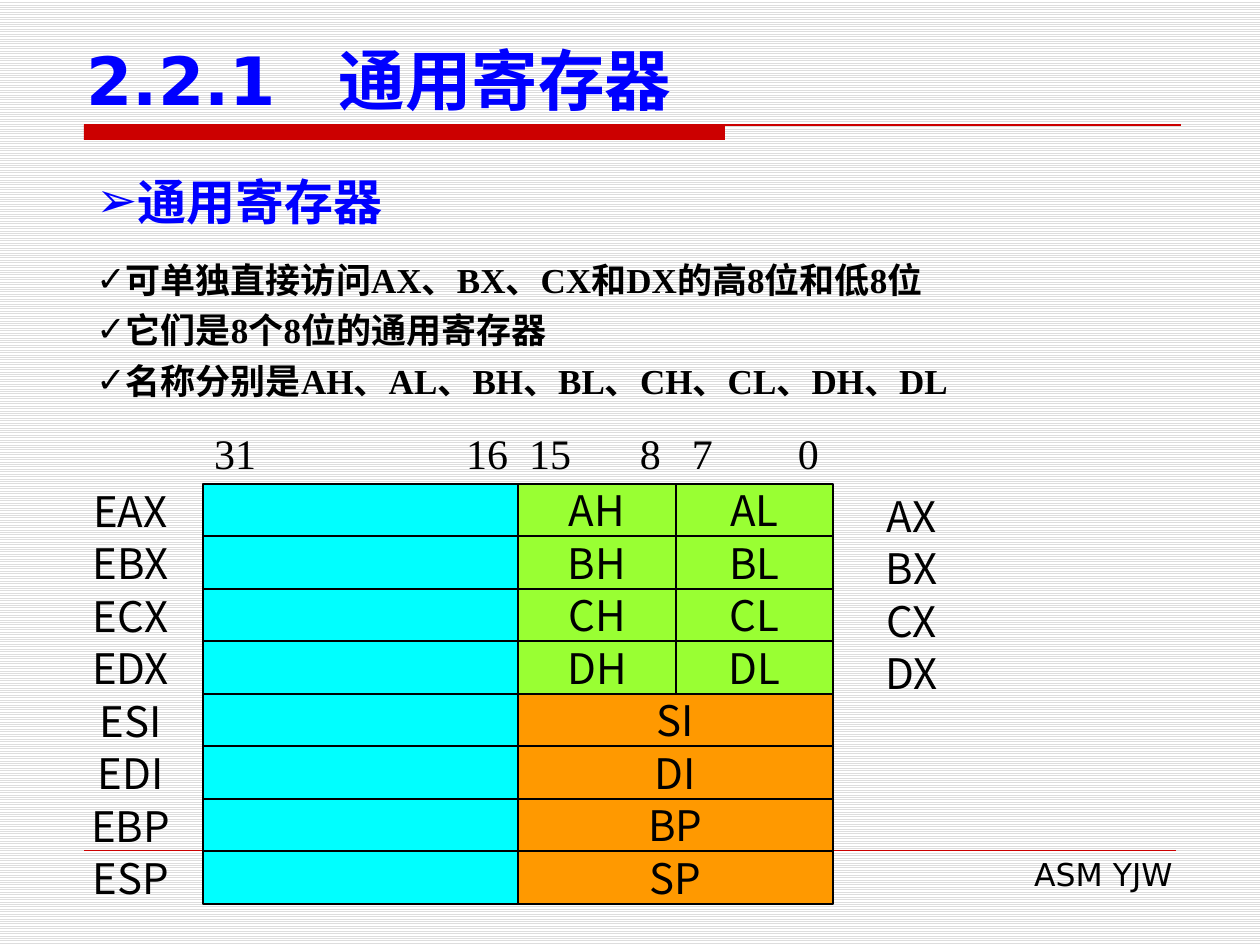
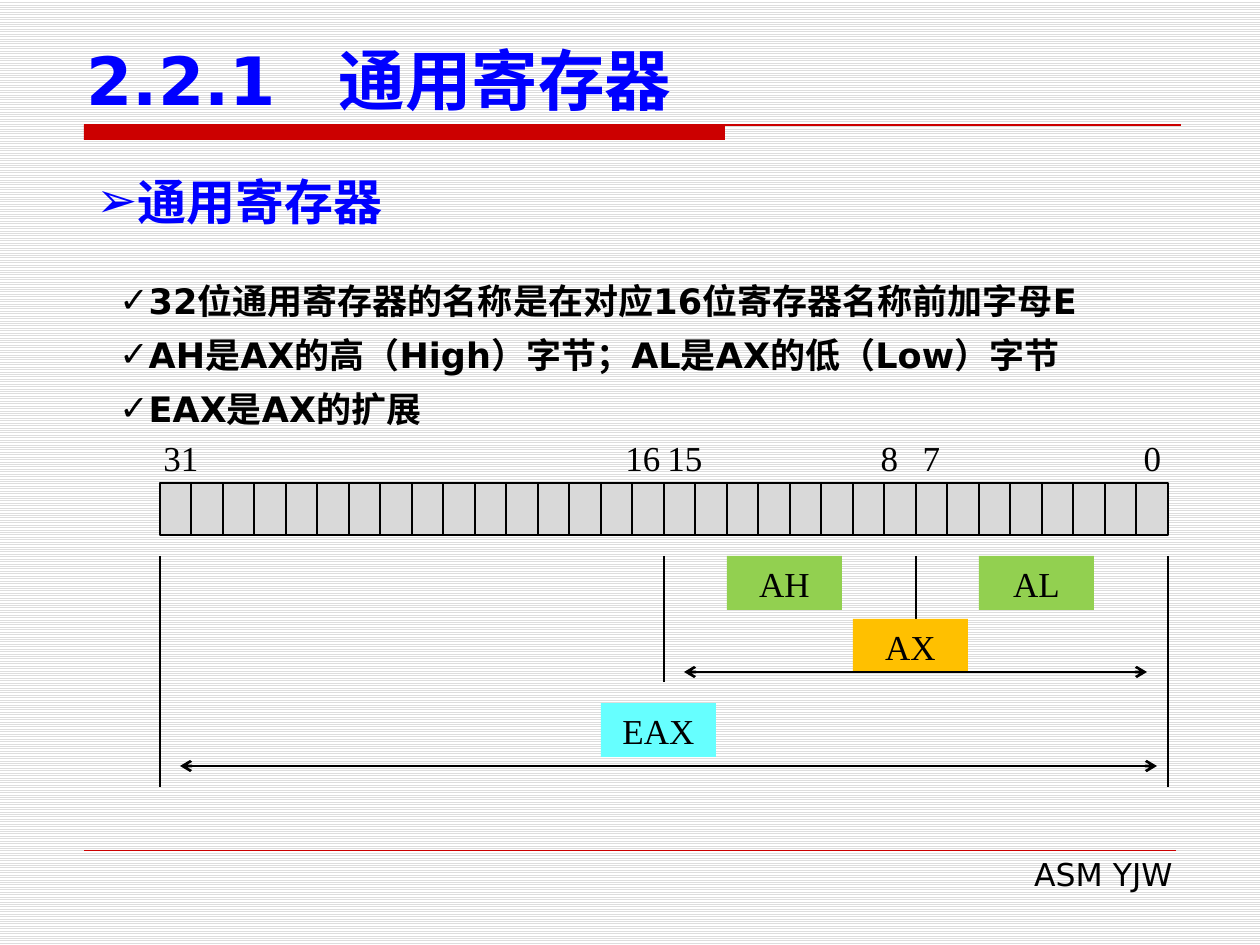
from dataclasses import dataclass

from lxml.etree import SubElement
from pptx import Presentation
from pptx.dml.color import RGBColor
from pptx.enum.dml import MSO_PATTERN
from pptx.enum.shapes import MSO_CONNECTOR, MSO_SHAPE
from pptx.enum.text import MSO_ANCHOR, MSO_AUTO_SIZE, PP_ALIGN
from pptx.oxml.ns import qn
from pptx.presentation import Presentation as Deck
from pptx.slide import Slide
from pptx.text.text import TextFrame, _Paragraph
from pptx.util import Emu, Pt


@dataclass(frozen=True)
class Theme:
    """Colours, fonts and type sizes of the whole presentation."""

    ink: str = "000000"
    blue: str = "0000FF"
    red: str = "CC0000"
    paper: str = "FFFFFF"
    stripe: str = "DDDDDD"
    cyan: str = "00FFFF"
    lime: str = "99FF33"
    orange: str = "FF9900"
    grey: str = "D9D9D9"
    green: str = "92D050"
    amber: str = "FFC000"
    aqua: str = "66FFFF"
    sans: str = "DejaVu Sans"
    serif: str = "Times New Roman"
    chinese: str = "Noto Sans CJK SC"
    title_size: int = 38
    heading_size: int = 28
    register_size: int = 24
    body_size: int = 20
    footer_size: int = 18


THEME = Theme()


@dataclass(frozen=True)
class Box:
    """A rectangle in px."""

    left: int
    top: int
    width: int
    height: int


@dataclass(frozen=True)
class Style:
    """The look of a run of text."""

    size: int
    font: str
    color: str = THEME.ink
    bold: bool = False


@dataclass(frozen=True)
class BitLabel:
    """A bit number and the px its text is centred on."""

    text: str
    center: int


@dataclass(frozen=True)
class Tag:
    """A coloured register name under the bit row."""

    text: str
    left: int
    top: int
    fill: str


@dataclass(frozen=True)
class Line:
    """A straight line between two points in px."""

    left: int
    top: int
    right: int
    bottom: int
    color: str = THEME.ink
    weight: float = 0.75
    arrows: bool = False


TITLE_STYLE = Style(THEME.title_size, THEME.sans, THEME.blue, True)
HEADING_STYLE = Style(THEME.heading_size, THEME.sans, THEME.blue, True)
FOOTER_STYLE = Style(THEME.footer_size, THEME.sans)
REGISTER_STYLE = Style(THEME.register_size, THEME.chinese)
WIDE_BIT_STYLE = Style(THEME.register_size, THEME.serif)
TAG_STYLE = Style(THEME.body_size, THEME.serif)

HALF_REGISTERS = ["AX", "BX", "CX", "DX"]
INDEX_REGISTERS = ["SI", "DI", "BP", "SP"]


def px(length: int) -> Emu:
    """Turn px into EMU at 126 px to the inch."""
    return Emu(round(length * 914400 / 126))


def place(box: Box) -> tuple[Emu, Emu, Emu, Emu]:
    """Give the EMU position and size of a box."""
    return px(box.left), px(box.top), px(box.width), px(box.height)


def add_run(paragraph: _Paragraph, text: str, style: Style) -> None:
    """Add one styled run to a paragraph."""
    run = paragraph.add_run()
    run.text = text
    run.font.size = Pt(style.size)
    run.font.bold = style.bold
    run.font.name = style.font
    run.font.color.rgb = RGBColor.from_string(style.color)
    SubElement(run.font._element, qn("a:ea"), typeface=THEME.chinese)


def add_bullet(paragraph: _Paragraph, character: str) -> None:
    """Put a bullet straight before the text of a paragraph."""
    properties = paragraph._p.get_or_add_pPr()
    properties.set("marL", "0")
    properties.set("indent", "0")
    SubElement(properties, qn("a:buFont"), typeface=THEME.sans)
    SubElement(properties, qn("a:buChar"), char=character)


def add_text(slide: Slide, box: Box, text: str, style: Style,
             align: PP_ALIGN = PP_ALIGN.CENTER) -> TextFrame:
    """Add a wrapping text box holding one paragraph."""
    frame = slide.shapes.add_textbox(*place(box)).text_frame
    frame.word_wrap = True
    frame.auto_size = MSO_AUTO_SIZE.SHAPE_TO_FIT_TEXT
    paragraph = frame.paragraphs[0]
    paragraph.alignment = align
    add_run(paragraph, text, style)
    return frame


def add_points(slide: Slide, box: Box, points: list[str], font: str, gap: int) -> None:
    """Add the ticked points of a slide."""
    frame = slide.shapes.add_textbox(*place(box)).text_frame
    frame.word_wrap = True
    frame.auto_size = MSO_AUTO_SIZE.SHAPE_TO_FIT_TEXT
    for index, point in enumerate(points):
        paragraph = frame.add_paragraph() if index else frame.paragraphs[0]
        paragraph.line_spacing = 1.2
        if index and gap:
            paragraph.space_before = Pt(gap)
        add_bullet(paragraph, "✓")
        add_run(paragraph, point, Style(THEME.body_size, font, bold=True))


def add_cell(slide: Slide, box: Box, fill: str, text: str = "",
             style: Style = REGISTER_STYLE, outlined: bool = True) -> None:
    """Add a filled rectangle with an optional centred name."""
    shape = slide.shapes.add_shape(MSO_SHAPE.RECTANGLE, *place(box))
    shape.shadow.inherit = False
    shape.fill.solid()
    shape.fill.fore_color.rgb = RGBColor.from_string(fill)
    if outlined:
        shape.line.color.rgb = RGBColor.from_string(THEME.ink)
        shape.line.width = Pt(0.75)
    else:
        shape.line.fill.background()
    if text:
        frame = shape.text_frame
        frame.word_wrap = False
        frame.vertical_anchor = MSO_ANCHOR.MIDDLE
        frame.paragraphs[0].alignment = PP_ALIGN.CENTER
        add_run(frame.paragraphs[0], text, style)


def add_line(slide: Slide, line: Line) -> None:
    """Add a straight connector, with arrowheads at both ends if asked."""
    connector = slide.shapes.add_connector(
        MSO_CONNECTOR.STRAIGHT,
        px(line.left), px(line.top), px(line.right), px(line.bottom))
    connector.line.color.rgb = RGBColor.from_string(line.color)
    connector.line.width = Pt(line.weight)
    if line.arrows:
        outline = connector.line._get_or_add_ln()
        for end in ("a:headEnd", "a:tailEnd"):
            SubElement(outline, qn(end), type="arrow")
    SubElement(connector._element.spPr, qn("a:effectLst"))


def add_bit_labels(slide: Slide, labels: list[BitLabel], top: int,
                   height: int, style: Style) -> None:
    """Add the bit numbers above a register."""
    for label in labels:
        width = 84 if len(label.text) > 1 else 53
        box = Box(label.center - width // 2, top, width, height)
        add_text(slide, box, label.text, style)


def add_register_slide(presentation: Deck) -> Slide:
    """Add a slide with the shared title, bands, footer and heading."""
    slide = presentation.slides.add_slide(presentation.slide_layouts[5])
    add_cell(slide, Box(84, 125, 641, 15), THEME.red, outlined=False)
    add_line(slide, Line(84, 125, 1181, 125, THEME.red))
    add_line(slide, Line(84, 850, 1176, 850, THEME.red, 0.25))
    add_text(slide, Box(481, 849, 704, 50), "ASM YJW", FOOTER_STYLE, PP_ALIGN.RIGHT)

    title = slide.shapes.title
    title.left, title.top, title.width, title.height = place(Box(74, 35, 1142, 90))
    frame = title.text_frame
    frame.auto_size = MSO_AUTO_SIZE.NONE
    frame.vertical_anchor = MSO_ANCHOR.BOTTOM
    paragraph = frame.paragraphs[0]
    paragraph.alignment = PP_ALIGN.LEFT
    stops = SubElement(paragraph._p.get_or_add_pPr(), qn("a:tabLst"))
    SubElement(stops, qn("a:tab"), pos=str(px(252)), algn="l")
    add_run(paragraph, "2.2.1\t通用寄存器", TITLE_STYLE)

    heading = add_text(slide, Box(84, 165, 1091, 72), "通用寄存器",
                       HEADING_STYLE, PP_ALIGN.JUSTIFY)
    add_bullet(heading.paragraphs[0], "➢")
    return slide


def build_register_file(presentation: Deck) -> None:
    """Build the slide that shows all eight general registers."""
    slide = add_register_slide(presentation)
    add_points(slide, Box(84, 244, 1140, 165), [
        "可单独直接访问AX、BX、CX和DX的高8位和低8位",
        "它们是8个8位的通用寄存器",
        "名称分别是AH、AL、BH、BL、CH、CL、DH、DL",
    ], THEME.serif, 0)

    high, middle, low, end = 203, 518, 676, 833
    tops = [484 + row * 105 // 2 for row in range(9)]
    names = HALF_REGISTERS + INDEX_REGISTERS
    for name, top, bottom in zip(names, tops, tops[1:]):
        height = bottom - top
        add_text(slide, Box(57, top - 5, 147, 63), f"E{name}", REGISTER_STYLE)
        add_cell(slide, Box(high, top, middle - high, height), THEME.cyan)
        if name in HALF_REGISTERS:
            add_cell(slide, Box(middle, top, low - middle, height),
                     THEME.lime, f"{name[0]}H")
            add_cell(slide, Box(low, top, end - low, height),
                     THEME.lime, f"{name[0]}L")
            add_text(slide, Box(end, top, 157, 63), name, REGISTER_STYLE)
        else:
            add_cell(slide, Box(middle, top, end - middle, height), THEME.orange, name)

    labels = [BitLabel("31", 235), BitLabel("16", 487), BitLabel("15", 550),
              BitLabel("8", 650), BitLabel("7", 702), BitLabel("0", 808)]
    add_bit_labels(slide, labels, 421, 63, WIDE_BIT_STYLE)


def build_register_bits(presentation: Deck) -> None:
    """Build the slide that splits EAX into its 32 bits."""
    slide = add_register_slide(presentation)
    add_points(slide, Box(107, 265, 1128, 174), [
        "32位通用寄存器的名称是在对应16位寄存器名称前加字母E",
        "AH是AX的高（High）字节；AL是AX的低（Low）字节",
        "EAX是AX的扩展",
    ], THEME.sans, 2)

    edges = [160 + bit * 63 // 2 for bit in range(33)]
    for left, right in zip(edges, edges[1:]):
        add_cell(slide, Box(left, 483, right - left, 52), THEME.grey)
    for bit, bottom in {0: 787, 16: 682, 24: 619, 32: 787}.items():
        add_line(slide, Line(edges[bit], 556, edges[bit], bottom))

    tags = [Tag("AH", 727, 556, THEME.green), Tag("AL", 979, 556, THEME.green),
            Tag("AX", 853, 619, THEME.amber), Tag("EAX", 601, 703, THEME.aqua)]
    for tag in tags:
        add_cell(slide, Box(tag.left, tag.top, 115, 54), tag.fill, tag.text,
                 TAG_STYLE, outlined=False)
    add_line(slide, Line(684, 672, 1147, 672, weight=1.5, arrows=True))
    add_line(slide, Line(180, 766, 1157, 766, weight=1.5, arrows=True))

    labels = [BitLabel("31", 181), BitLabel("16", 643), BitLabel("15", 685),
              BitLabel("8", 889), BitLabel("7", 931), BitLabel("0", 1152)]
    add_bit_labels(slide, labels, 430, 54, TAG_STYLE)


def main() -> None:
    """Build and save the presentation."""
    presentation = Presentation()
    presentation.slide_width, presentation.slide_height = px(1260), px(945)
    background = presentation.slide_master.background.fill
    background.patterned()
    background.pattern = MSO_PATTERN.LIGHT_HORIZONTAL
    background.fore_color.rgb = RGBColor.from_string(THEME.stripe)
    background.back_color.rgb = RGBColor.from_string(THEME.paper)
    build_register_file(presentation)
    build_register_bits(presentation)
    presentation.save("out.pptx")


if __name__ == "__main__":
    main()
